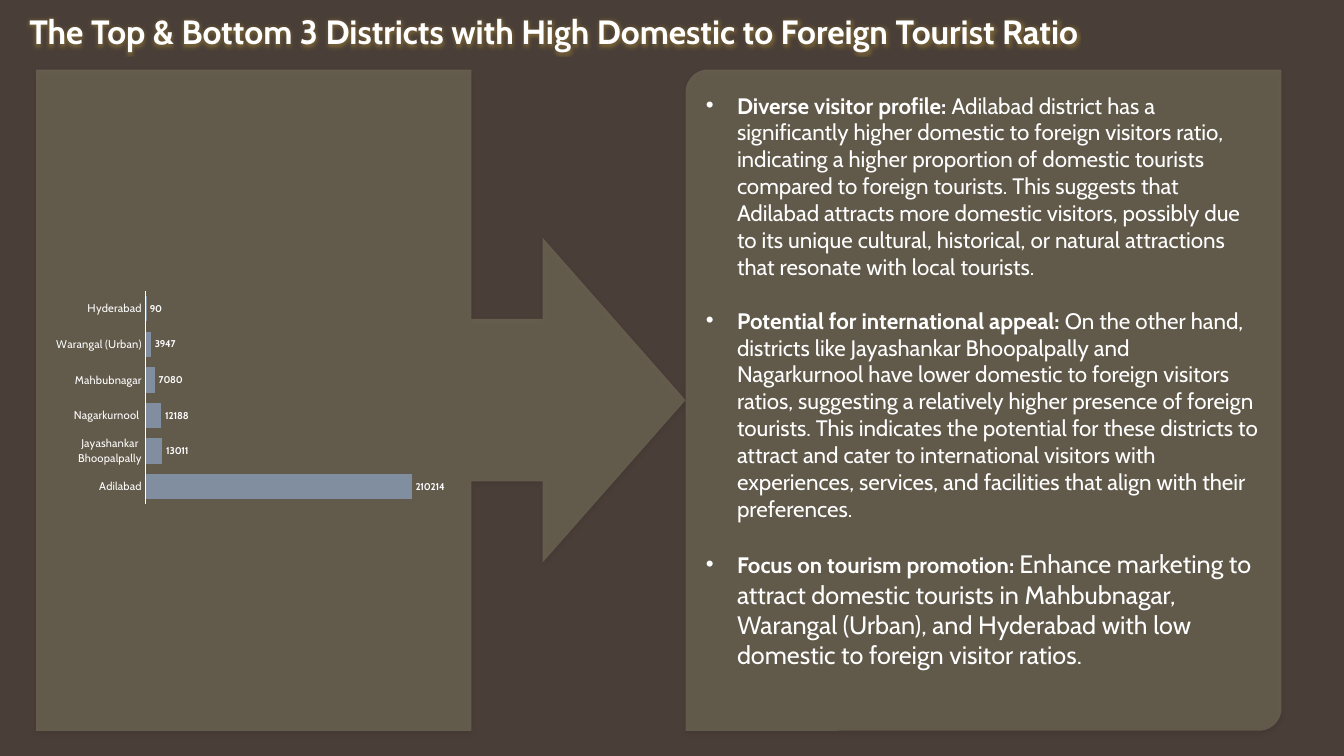
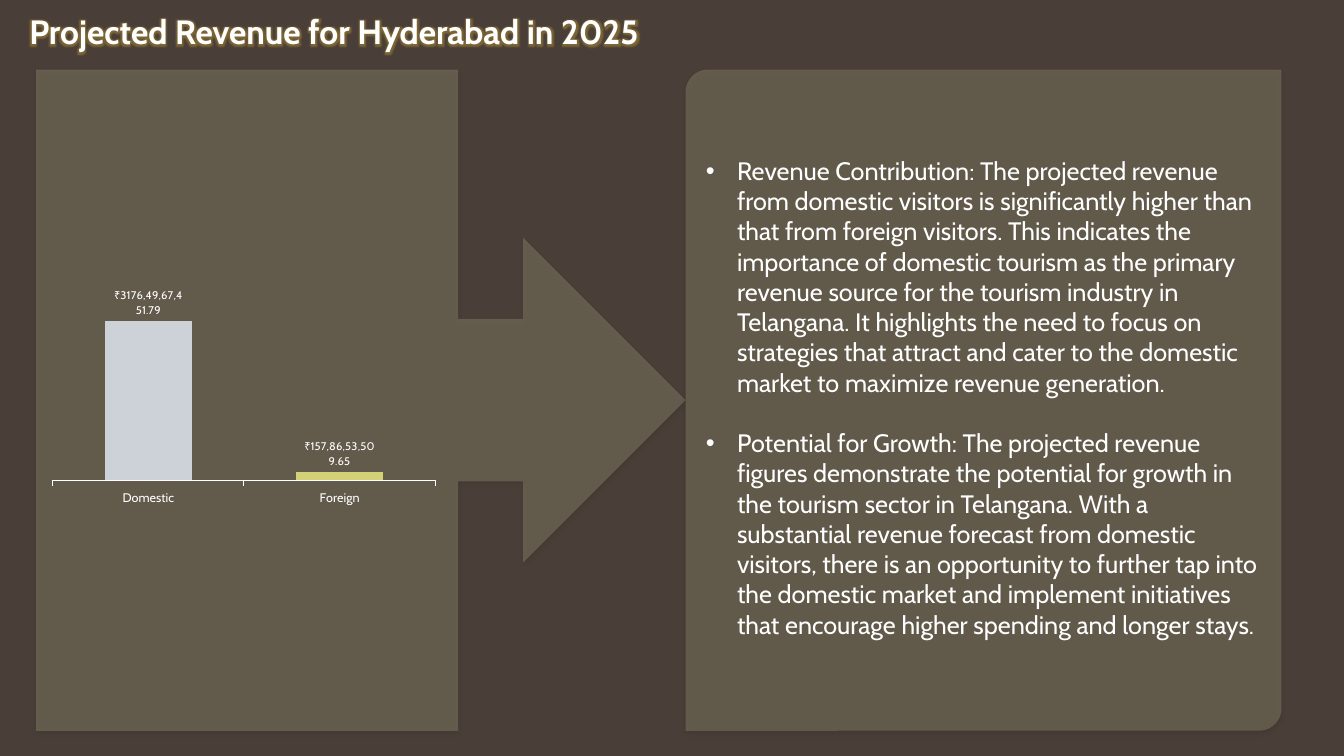
from lxml import etree
from pptx import Presentation
from pptx import util as u
from pptx.chart.data import CategoryChartData
from pptx.dml.color import RGBColor
from pptx.enum import chart as ch, shapes, text
from pptx.oxml import parse_xml
from pptx.oxml.ns import qn

A = 'xmlns:a="http://schemas.openxmlformats.org/drawingml/2006/main"'
C = 'xmlns:c="http://schemas.openxmlformats.org/drawingml/2006/chart"'
RUPEES = (r"[>9999999][$₹]##\,##\,##\,##0.00;"
          r"[>99999][$₹]##\,##\,##0.00;[$₹]##,##0.00")


def rgb(value):
    return RGBColor.from_string(value)


class Deck:
    FONT, BACK, INK, PANEL, GLOW = "Cabin", "4A3F38", "FFFFFF", "BEBA92", "C9A030"
    BAR = "818E9F"
    TOP, HEIGHT = 0.69, 6.56

    def __init__(self):
        self.prs = Presentation()
        self.prs.slide_width = u.Inches(13.33)
        self.prs.slide_height = u.Inches(7.5)
        self.s = None

    def style(self, font, size, bold=False):
        font.name, font.size, font.bold = self.FONT, u.Pt(size), bold
        font.color.rgb = rgb(self.INK)

    def place(self, sp, x, y, w, h):
        sp.left, sp.top, sp.width, sp.height = map(u.Inches, (x, y, w, h))

    def frame(self, sp, anchor):
        tf = sp.text_frame
        tf.word_wrap = True
        tf.auto_size = text.MSO_AUTO_SIZE.NONE
        tf.vertical_anchor = anchor
        return tf

    def run(self, p, content, size, bold=False):
        r = p.add_run()
        r.text = content
        self.style(r.font, size, bold)
        return r

    def slide(self, title):
        self.s = self.prs.slides.add_slide(self.prs.slide_layouts[1])
        fill = self.s.background.fill
        fill.solid()
        fill.fore_color.rgb = rgb(self.BACK)
        sp = self.s.shapes.title
        self.place(sp, 0.19, 0.06, 12.71, 0.5)
        p = self.frame(sp, text.MSO_ANCHOR.MIDDLE).paragraphs[0]
        p.alignment = text.PP_ALIGN.LEFT
        r = self.run(p, title, 24, True)
        # Golden glow around the title letters
        r.font.fill._xPr.find(qn("a:solidFill")).addnext(parse_xml(
            f'<a:effectLst {A}><a:glow rad="63500"><a:srgbClr val="{self.GLOW}">'
            '<a:alpha val="40000"/></a:srgbClr></a:glow></a:effectLst>'))

    def panel(self, kind, x, w, opacity, adjustments):
        sp = self.s.shapes.add_shape(kind, *map(u.Inches, (x, self.TOP, w, self.HEIGHT)))
        for i, value in enumerate(adjustments):
            sp.adjustments[i] = value
        sp.fill.solid()
        sp.fill.fore_color.rgb = rgb(self.PANEL)
        sp.line.fill.background()
        color = sp._element.spPr.find(qn("a:solidFill"))[0]
        etree.SubElement(color, qn("a:alpha")).set("val", str(opacity * 1000))
        # Soft shadow straight below
        sp.shadow.inherit = False
        sp._element.spPr.find(qn("a:effectLst")).append(parse_xml(
            f'<a:outerShdw {A} blurRad="44450" dist="27940" dir="5400000" '
            'rotWithShape="0"><a:srgbClr val="000000"><a:alpha val="32000"/>'
            '</a:srgbClr></a:outerShdw>'))

    def panels(self, callout=()):
        self.panel(shapes.MSO_SHAPE.RIGHT_ARROW_CALLOUT, 0.36, 6.44, 26, callout)
        self.panel(shapes.MSO_SHAPE.ROUND_2_DIAG_RECTANGLE, 6.8, 5.91, 25, (0.038, 0))

    def bullets(self, y, h, gap, items):
        sp = self.s.placeholders[1]
        self.place(sp, 6.9, y, 5.7, h)
        # Bring the text in front of the panels
        self.s.shapes._spTree.append(sp._element)
        tf = self.frame(sp, text.MSO_ANCHOR.TOP)
        for i, runs in enumerate(items):
            p = tf.add_paragraph() if i else tf.paragraphs[0]
            p.alignment = text.PP_ALIGN.LEFT
            p.space_before = u.Pt(gap if i else 0)
            p.space_after = u.Pt(0)
            pPr = p._p.get_or_add_pPr()
            pPr.set("marL", str(u.Inches(0.31)))
            pPr.set("indent", str(u.Inches(-0.31)))
            pPr.append(parse_xml(f'<a:buFont {A} typeface="Arial"/>'))
            pPr.append(parse_xml(f'<a:buChar {A} char="•"/>'))
            for r in runs:
                self.run(p, *r)

    def chart(self, kind, box, inner, values, gap, overlap, tick, axis_size,
              label_size, label_bold, fmt, top=None, colors=()):
        data = CategoryChartData()
        data.categories = list(values)
        data.add_series("Series 1", list(values.values()))
        chart = self.s.shapes.add_chart(kind, *map(u.Inches, box), data).chart
        chart.has_title = chart.has_legend = False
        self.style(chart.font, 10)
        # Axes
        cat, val = chart.category_axis, chart.value_axis
        cat.major_tick_mark = tick
        cat.has_major_gridlines = val.has_major_gridlines = False
        self.style(cat.tick_labels.font, axis_size)
        cat.format.line.color.rgb = rgb(self.INK)
        cat.format.line.width = u.Pt(0.75)
        val.visible = False
        val.minimum_scale = 0
        if top:
            val.maximum_scale = top
        # Bars and their labels
        plot = chart.plots[0]
        plot.gap_width, plot.overlap, plot.vary_by_categories = gap, overlap, False
        series = plot.series[0]
        series.format.fill.solid()
        series.format.fill.fore_color.rgb = rgb(self.BAR)
        for i, color in enumerate(colors):
            fill = series.points[i].format.fill
            fill.solid()
            fill.fore_color.rgb = rgb(color)
        labels = series.data_labels
        labels.show_value = True
        labels.position = ch.XL_LABEL_POSITION.OUTSIDE_END
        labels.number_format, labels.number_format_is_linked = fmt, False
        self.style(labels.font, label_size, label_bold)
        # Fixed inner plot area
        area = chart._chartSpace.chart.plotArea
        for old in area.findall(qn("c:layout")):
            area.remove(old)
        sizes = "".join(f'<c:{k} val="{v}"/>' for k, v in zip("xywh", inner))
        area.insert(0, parse_xml(
            f'<c:layout {C}><c:manualLayout><c:layoutTarget val="inner"/>'
            f'<c:xMode val="edge"/><c:yMode val="edge"/>{sizes}'
            '</c:manualLayout></c:layout>'))


def main():
    d = Deck()

    # District ratios
    d.slide("The Top & Bottom 3 Districts with High Domestic to Foreign Tourist Ratio")
    d.panels((0.25, 0.25, 0.22, 0.67))
    d.bullets(0.86, 5.89, 19.3, [
        [("Diverse visitor profile: ", 16, True),
         ("Adilabad district has a significantly higher domestic to foreign visitors "
          "ratio, indicating a higher proportion of domestic tourists compared to "
          "foreign tourists. This suggests that Adilabad attracts more domestic "
          "visitors, possibly due to its unique cultural, historical, or natural "
          "attractions that resonate with local tourists.", 16)],
        [("Potential for international appeal: ", 16, True),
         ("On the other hand, districts like Jayashankar Bhoopalpally and Nagarkurnool "
          "have lower domestic to foreign visitors ratios, suggesting a relatively "
          "higher presence of foreign tourists. This indicates the potential for these "
          "districts to attract and cater to international visitors with experiences, "
          "services, and facilities that align with their preferences.", 16)],
        [("Focus on tourism promotion: ", 16, True),
         ("Enhance marketing to attract domestic tourists in Mahbubnagar, Warangal "
          "(Urban), and Hyderabad with low domestic to foreign visitor ratios.", 18)],
    ])
    d.chart(ch.XL_CHART_TYPE.BAR_CLUSTERED, (0.36, 2.74, 4.18, 2.46),
            (0.26, 0.06, 0.66, 0.86),
            {"Adilabad": 210214, "Jayashankar Bhoopalpally": 13011,
             "Nagarkurnool ": 12188, "Mahbubnagar": 7080,
             "Warangal (Urban)": 3947, "Hyderabad": 90},
            gap=40, overlap=0, tick=ch.XL_TICK_MARK.NONE, axis_size=8,
            label_size=7, label_bold=True, fmt="0", top=220000)

    # Revenue projection
    d.slide("Projected Revenue for Hyderabad in 2025")
    d.panels()
    d.chart(ch.XL_CHART_TYPE.COLUMN_CLUSTERED, (0.36, 2.86, 4.08, 2.21),
            (0.04, 0.06, 0.93, 0.8),
            {"Domestic": 31764967451.79, "Foreign": 1578653509.65},
            gap=119, overlap=-27, tick=ch.XL_TICK_MARK.OUTSIDE, axis_size=9,
            label_size=8, label_bold=False, fmt=RUPEES, colors=("CDD2D9", "D3D078"))
    d.bullets(1.49, 4.95, 21.6, [
        [("Revenue Contribution: The projected revenue from domestic visitors is "
          "significantly higher than that from foreign visitors. This indicates the "
          "importance of domestic tourism as the primary revenue source for the "
          "tourism industry in Telangana. It highlights the need to focus on "
          "strategies that attract and cater to the domestic market to maximize "
          "revenue generation.", 18)],
        [("Potential for Growth: The projected revenue figures demonstrate the "
          "potential for growth in the tourism sector in Telangana. With a substantial "
          "revenue forecast from domestic visitors, there is an opportunity to further "
          "tap into the domestic market and implement initiatives that encourage "
          "higher spending and longer stays.", 18)],
    ])

    d.prs.save("out.pptx")


if __name__ == "__main__":
    main()
